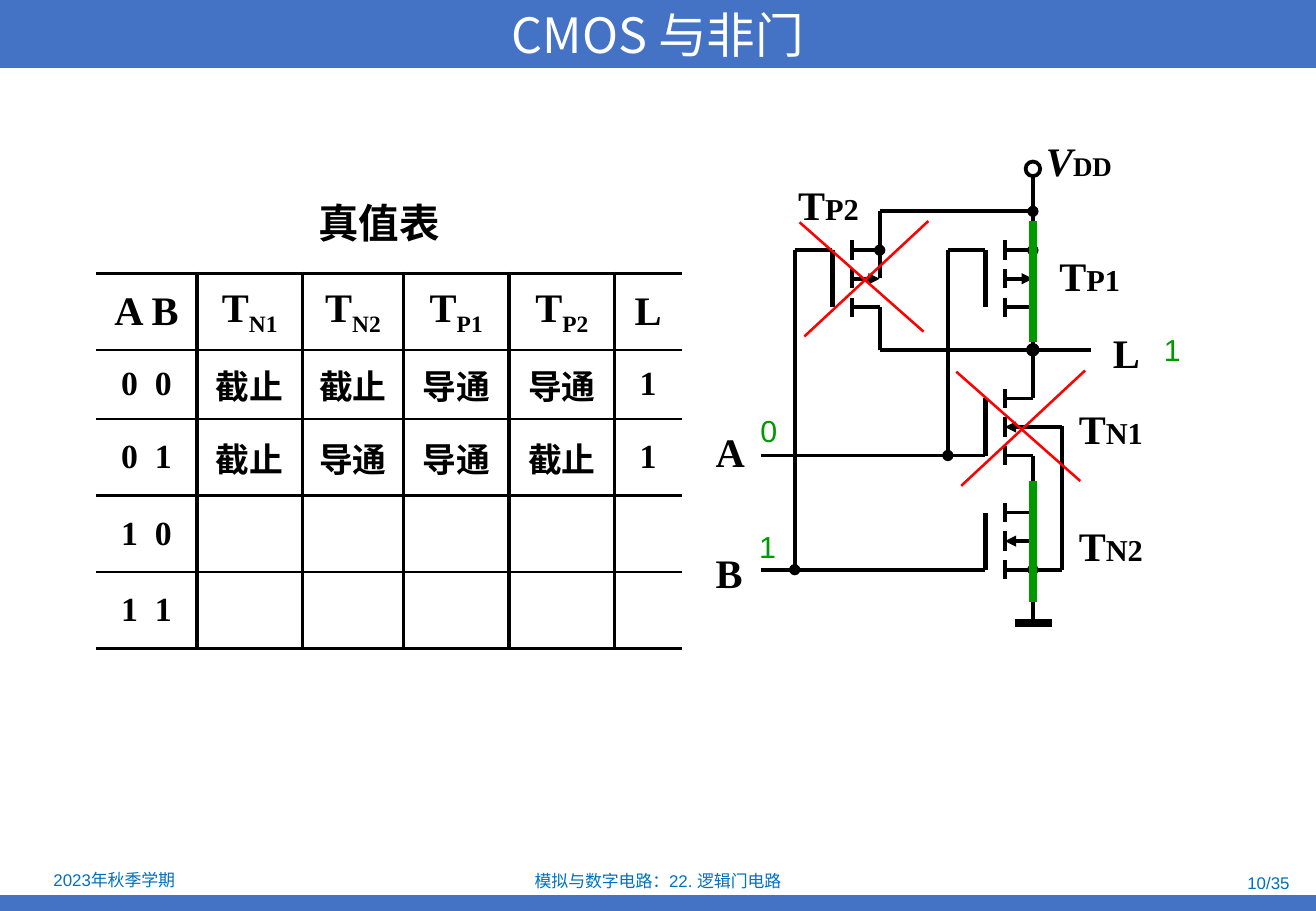
from lxml.etree import SubElement
from pptx import Presentation
from pptx.dml.color import RGBColor
from pptx.enum.shapes import MSO_CONNECTOR, MSO_SHAPE
from pptx.enum.text import MSO_ANCHOR, MSO_AUTO_SIZE, PP_ALIGN
from pptx.oxml.ns import qn
from pptx.util import Inches, Pt

BLACK, BLUE, GREEN, RED = "000000", "4472C4", "009900", "FF0000"
SERIF, SANS, CJK = "Times New Roman", "Arial", "Noto Sans CJK SC"

prs = Presentation()
prs.slide_width, prs.slide_height = Inches(10.83), Inches(7.5)
slide = prs.slides.add_slide(prs.slide_layouts[5])
shapes = slide.shapes


def add_run(paragraph, text, size, font, color, bold=False):
    """Append a run whose Chinese characters use the CJK font."""
    run = paragraph.add_run()
    run.text = text
    run.font.size, run.font.name, run.font.bold = Pt(size), font, bold
    run.font.color.rgb = RGBColor.from_string(color)
    SubElement(run.font._element, qn("a:ea"), typeface=CJK)
    return run


def add_wire(start, end, color=BLACK, width=2.25, head=None, tail=None):
    """Draw a line; head and tail name the line ends at start and end."""
    wire = shapes.add_connector(MSO_CONNECTOR.STRAIGHT, *map(Inches, start + end))
    wire.line.color.rgb = RGBColor.from_string(color)
    wire.line.width = Pt(width)
    for tag, kind in (("a:headEnd", head), ("a:tailEnd", tail)):
        if kind:
            SubElement(wire.line._get_or_add_ln(), qn(tag), type=kind)
    SubElement(wire._element.spPr, qn("a:effectLst"))


# Title and bottom bands
title = shapes.title
title.left, title.top = Inches(0), Inches(0)
title.width, title.height = prs.slide_width, Inches(0.56)
title.fill.solid()
title.fill.fore_color.rgb = RGBColor.from_string(BLUE)
title.text_frame.vertical_anchor = MSO_ANCHOR.MIDDLE
title_line = title.text_frame.paragraphs[0]
title_line.alignment = PP_ALIGN.CENTER
add_run(title_line, "CMOS 与非门", 28.8, CJK, "FFFFFF")

bottom_band = shapes.add_shape(MSO_SHAPE.RECTANGLE, Inches(0), Inches(7.37),
                               prs.slide_width, Inches(0.13))
bottom_band.shadow.inherit = False
bottom_band.fill.solid()
bottom_band.fill.fore_color.rgb = RGBColor.from_string(BLUE)
bottom_band.line.fill.background()

for left, top, width, text, alignment in (
        (0.02, 7.13, 1.84, "2023年秋季学期", PP_ALIGN.CENTER),
        (3.7, 7.14, 3.43, "模拟与数字电路：22. 逻辑门电路", PP_ALIGN.CENTER),
        (8.18, 7.16, 2.53, "10/35", PP_ALIGN.RIGHT)):
    footer = shapes.add_textbox(Inches(left), Inches(top), Inches(width), Inches(0.22)).text_frame
    footer.word_wrap = True
    footer.vertical_anchor = MSO_ANCHOR.MIDDLE
    footer.paragraphs[0].alignment = alignment
    add_run(footer.paragraphs[0], text, 10, SANS, "0070C0")

# Transistors: channel x, top contact y, x of the gate feed (P type only)
HALF, STEP, STUB = 0.08, 0.235, 0.23
transistors = {"TP2": (7.01, 2.06, 6.54), "TP1": (8.27, 2.06, 7.8),
               "TN1": (8.27, 3.28, None), "TN2": (8.27, 4.22, None)}
for name, (channel, top, gate_feed) in transistors.items():
    is_p = gate_feed is not None
    gate, drain = channel - 0.16, channel + STUB
    middle, bottom = top + STEP, top + 2 * STEP
    for contact in (top, middle, bottom):
        add_wire((channel, contact - HALF), (channel, contact + HALF))
    add_wire((gate, top), (gate, bottom), width=3)
    add_wire((channel, top), (drain, top), tail="oval" if is_p else None)
    add_wire((channel, bottom), (drain, bottom), tail="oval" if name == "TN2" else None)
    add_wire((channel, middle), (8.74 if name == "TN1" else drain, middle),
             head=None if is_p else "triangle", tail="triangle" if is_p else None)
    if is_p:
        add_wire((gate_feed, top), (gate, top))

# Wiring between the transistors
for start, end, dot in (
        ((8.5, 1.45), (8.5, 2.29), None), ((8.5, 2.53), (8.5, 3.28), None),
        ((8.5, 3.75), (8.5, 4.22), None), ((8.5, 4.46), (8.5, 5.13), None),
        ((7.24, 1.74), (8.5, 1.74), "oval"), ((7.24, 1.74), (7.24, 2.29), None),
        ((7.24, 2.53), (7.24, 2.88), None), ((7.24, 2.88), (8.98, 2.88), None),
        ((6.26, 3.75), (8.11, 3.75), None), ((6.26, 4.69), (8.11, 4.69), None),
        ((6.54, 2.06), (6.54, 4.69), "oval"), ((7.8, 2.06), (7.8, 3.75), "oval"),
        ((8.5, 4.69), (8.74, 4.69), None), ((8.74, 3.51), (8.74, 4.69), None)):
    add_wire(start, end, tail=dot)
add_wire((8.35, 5.13), (8.66, 5.13), width=4.5)

for center_y, diameter, filled in ((1.39, 0.12, False), (2.88, 0.08, True)):
    node = shapes.add_shape(MSO_SHAPE.OVAL, Inches(8.5 - diameter / 2),
                            Inches(center_y - diameter / 2), Inches(diameter), Inches(diameter))
    node.shadow.inherit = False
    node.line.color.rgb = RGBColor.from_string(BLACK)
    node.line.width = Pt(2.25)
    if filled:
        node.fill.solid()
        node.fill.fore_color.rgb = RGBColor.from_string(BLACK)
    else:
        node.fill.background()

# Red crosses on blocked transistors, green bars on conducting ones
for left, top in ((7.87, 3.06), (6.58, 1.83)):
    add_wire((left, top), (left + 1.02, top + 0.9), RED, 1.5)
    add_wire((left + 0.04, top + 0.94), (left + 1.06, top - 0.01), RED, 1.5)
for top in (1.82, 3.96):
    add_wire((8.5, top), (8.5, top + 1), GREEN, 4.5)

# Circuit labels: main letter and smaller index
for left, top, width, letter, index, index_size in (
        (8.51, 1.07, 0.74, "V", "DD", 16), (6.47, 1.43, 0.7, "T", "P2", 18),
        (8.62, 2.02, 0.7, "T", "P1", 18), (8.78, 3.28, 0.73, "T", "N1", 18),
        (8.78, 4.24, 0.73, "T", "N2", 18), (9.06, 2.65, 0.42, "L", "", 18),
        (5.79, 3.47, 0.44, "A", "", 18), (5.79, 4.46, 0.42, "B", "", 18)):
    label = shapes.add_textbox(Inches(left), Inches(top), Inches(width), Inches(0.5)).text_frame
    label.word_wrap = False
    label.auto_size = MSO_AUTO_SIZE.SHAPE_TO_FIT_TEXT
    symbol = add_run(label.paragraphs[0], letter, 24, SERIF, BLACK, True)
    symbol.font.italic = letter == "V"
    if index:
        add_run(label.paragraphs[0], index, index_size, SERIF, BLACK, True)

for left, top, level in ((6.16, 3.34, "0"), (6.15, 4.3, "1"), (9.48, 2.68, "1")):
    signal = shapes.add_textbox(Inches(left), Inches(top), Inches(0.34), Inches(0.4)).text_frame
    signal.word_wrap = False
    signal.auto_size = MSO_AUTO_SIZE.SHAPE_TO_FIT_TEXT
    add_run(signal.paragraphs[0], level, 18, SANS, GREEN)

# Truth table
caption = shapes.add_textbox(Inches(2.6), Inches(1.62), Inches(1.04), Inches(0.42)).text_frame
caption.word_wrap = False
caption.auto_size = MSO_AUTO_SIZE.SHAPE_TO_FIT_TEXT
caption.margin_left = caption.margin_right = Inches(0.02)
caption.margin_top = caption.margin_bottom = Inches(0.01)
add_run(caption.paragraphs[0], "真值表", 24, SERIF, BLACK, True)

states = [["A B", "TN1", "TN2", "TP1", "TP2", "L"],
          ["0  0", "截止", "截止", "导通", "导通", "1"],
          ["0  1", "截止", "导通", "导通", "截止", "1"],
          ["1  0", "", "", "", "", ""],
          ["1  1", "", "", "", "", ""]]
row_rules = [2.25, 1.5, 1.5, 2.25, 1.5, 2.25]
column_rules = [None] + [2.25] * 5 + [None]

truth_table = shapes.add_table(5, 6, Inches(0.79), Inches(2.25), Inches(4.82), Inches(3.09)).table
truth_table.first_row = truth_table.horz_banding = False
for column, width in zip(truth_table.columns, (0.83, 0.87, 0.83, 0.87, 0.87, 0.55)):
    column.width = Inches(width)
for row, height in zip(truth_table.rows, (0.63, 0.57, 0.63, 0.63, 0.63)):
    row.height = Inches(height)

for r, row_states in enumerate(states):
    size = 24 if r == 0 else 20
    for c, state in enumerate(row_states):
        cell = truth_table.cell(r, c)
        cell.margin_left = cell.margin_right = cell.margin_top = cell.margin_bottom = 0
        cell.vertical_anchor = MSO_ANCHOR.MIDDLE
        entry = cell.text_frame.paragraphs[0]
        entry.alignment = PP_ALIGN.CENTER
        entry.space_after = Pt(size * 0.2)
        if state.startswith("T"):
            add_run(entry, "T", size, SERIF, BLACK, True)
            subscript = add_run(entry, state[1:], size, SERIF, BLACK, True)
            subscript.font._element.set("baseline", "-25000")
        elif state:
            add_run(entry, state, size, SERIF, BLACK, True)
        for side, rule in (("L", column_rules[c]), ("R", column_rules[c + 1]),
                           ("T", row_rules[r]), ("B", row_rules[r + 1])):
            border = SubElement(cell._tc.get_or_add_tcPr(), qn(f"a:ln{side}"))
            if rule:
                border.set("w", str(Pt(rule)))
                SubElement(SubElement(border, qn("a:solidFill")), qn("a:srgbClr"), val=BLACK)
            else:
                SubElement(border, qn("a:noFill"))
        cell.fill.background()

prs.save("out.pptx")
